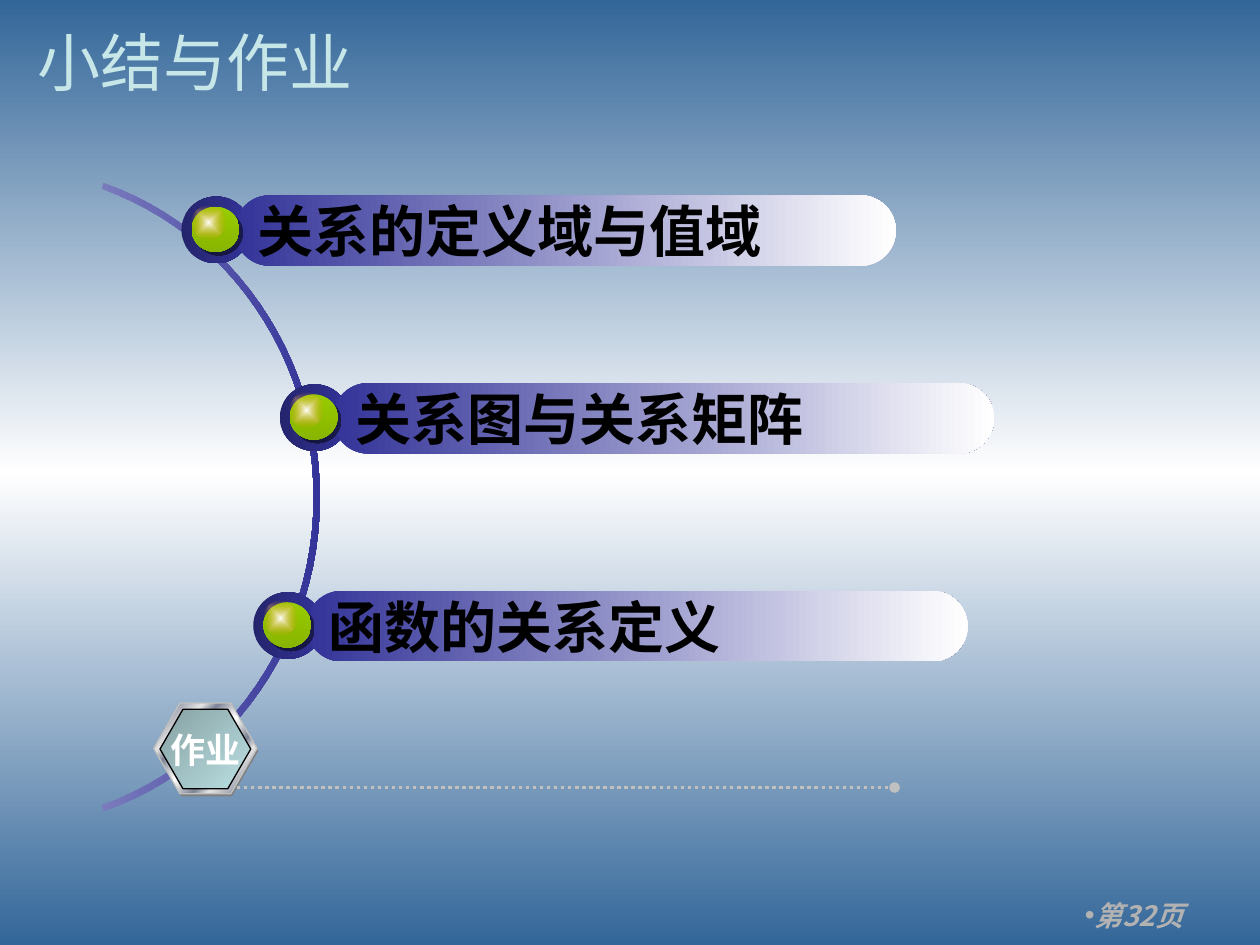
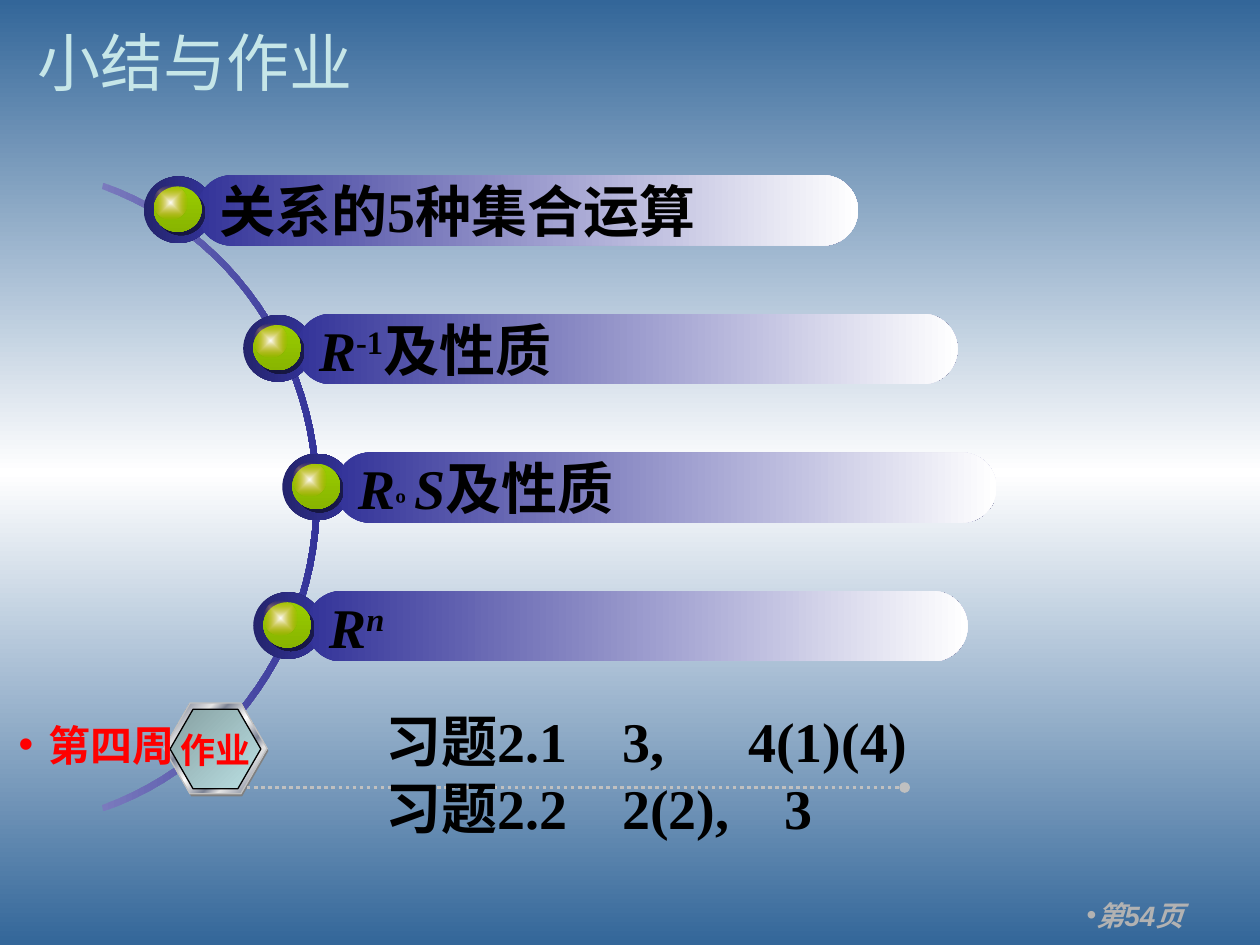
from lxml.etree import SubElement
from pptx import Presentation
from pptx.dml.color import RGBColor
from pptx.enum.dml import MSO_LINE
from pptx.enum.shapes import MSO_CONNECTOR, MSO_SHAPE
from pptx.enum.text import MSO_ANCHOR, MSO_AUTO_SIZE, PP_ALIGN
from pptx.oxml.ns import qn
from pptx.util import Inches, Pt

COLORS = {
    "sky": "336699", "white": "FFFFFF", "black": "000000", "red": "FF0000",
    "title": "C6E6E8", "footer": "B2B2B2", "indigo": "333399",
    "navy": "24246D", "arc_end": "7A7ABD", "lime": "99CC00",
    "olive": "88B500", "orange": "E9940B", "grey": "808080",
    "silver": "C0C0C0", "light": "E6E6E6", "steel": "7D8496",
    "teal": "86A0A2", "aqua": "BBE0E3",
}
HAN, SANS, SERIF = "Noto Sans CJK SC", "Arial", "Times New Roman"
METAL = [(0, "light"), (8, "steel"), (26, "light"), (34, "steel"),
         (46, "light"), (50, "white"), (54, "light"), (66, "steel"),
         (74, "light"), (92, "steel"), (100, "light")]


def rgb(name):
    return RGBColor.from_string(COLORS[name])


def bezier(start, c1, c2, end, steps=24):
    """Points in EMU along a cubic curve given in inches, both ends included."""
    points = []
    for i in range(steps + 1):
        t = i / steps
        weights = ((1 - t) ** 3, 3 * t * (1 - t) ** 2, 3 * t * t * (1 - t), t ** 3)
        points.append(tuple(Inches(sum(w * p[axis] for w, p in zip(weights, (start, c1, c2, end))))
                            for axis in (0, 1)))
    return points


def set_gradient(fill, holder, stops, angle=None):
    """Stops are (percent, colour[, opacity]); without an angle it spreads from the centre."""
    fill.solid()
    solid = holder.find(qn("a:solidFill"))
    grad = SubElement(holder, qn("a:gradFill"), rotWithShape="1")
    holder.replace(solid, grad)
    stop_list = SubElement(grad, qn("a:gsLst"))
    for percent, color, *opacity in stops:
        stop = SubElement(stop_list, qn("a:gs"), pos=str(percent * 1000))
        clr = SubElement(stop, qn("a:srgbClr"), val=COLORS[color])
        if opacity:
            SubElement(clr, qn("a:alpha"), val=str(opacity[0] * 1000))
    if angle is None:
        path = SubElement(grad, qn("a:path"), path="shape")
        SubElement(path, qn("a:fillToRect"), l="50000", t="50000", r="50000", b="50000")
    else:
        SubElement(grad, qn("a:lin"), ang=str(angle * 60000), scaled="0")


class Deck:
    def __init__(self):
        self.prs = Presentation()
        self.prs.slide_width, self.prs.slide_height = Inches(10), Inches(7.5)
        master = self.prs.slide_master
        fill = master.background.fill
        fill.solid()
        set_gradient(fill, master.element.find(".//" + qn("p:bgPr")),
                     [(0, "sky"), (50, "white"), (100, "sky")], 90)
        self.slide = None

    # Text
    def run(self, paragraph, text, size, color, font=HAN, bold=True, italic=False, baseline=0):
        run = paragraph.add_run()
        run.text = text
        run.font.size, run.font.bold, run.font.italic = Pt(size), bold, italic
        run.font.color.rgb = rgb(color)
        run.font.name = font
        props = run.font._element
        SubElement(props, qn("a:ea"), typeface=HAN)
        if baseline:
            props.set("baseline", str(baseline * 1000))

    def bullet(self, paragraph, hanging=0):
        props = paragraph._p.get_or_add_pPr()
        props.set("marL", str(Inches(hanging)))
        props.set("indent", str(-Inches(hanging)))
        SubElement(props, qn("a:buFont"), typeface=SANS)
        SubElement(props, qn("a:buChar"), char="•")

    def tabs(self, paragraph, stops):
        tab_list = SubElement(paragraph._p.get_or_add_pPr(), qn("a:tabLst"))
        for stop in stops:
            SubElement(tab_list, qn("a:tab"), pos=str(Inches(stop)), algn="l")

    def text_box(self, x, y, w, h, align=PP_ALIGN.LEFT):
        frame = self.slide.shapes.add_textbox(*map(Inches, (x, y, w, h))).text_frame
        frame.word_wrap = True
        frame.paragraphs[0].alignment = align
        return frame

    # Shapes
    def paint(self, shape, fill, angle=None, line=None):
        shape.shadow.inherit = False
        if isinstance(fill, str):
            shape.fill.solid()
            shape.fill.fore_color.rgb = rgb(fill)
        else:
            set_gradient(shape.fill, shape._element.spPr, fill, angle)
        if line:
            shape.line.color.rgb = rgb(line)
            shape.line.width = Pt(0.75)
        else:
            shape.line.fill.background()

    def shape(self, kind, x, y, w, h, fill, angle=None, line=None):
        shape = self.slide.shapes.add_shape(kind, *map(Inches, (x, y, w, h)))
        self.paint(shape, fill, angle, line)
        return shape

    def hexagon(self, x, y, w, h, fill, angle=None, line=None):
        shape = self.shape(MSO_SHAPE.HEXAGON, x, y, w, h, fill, angle, line)
        shape.adjustments[0] = 0.289
        shape.adjustments[1] = 1.155

    def arc(self):
        outline = (bezier((0.81, 1.5), (1.82, 1.86), (2.49, 2.84), (2.49, 3.95))
                   + bezier((2.49, 3.95), (2.49, 5.05), (1.82, 6.03), (0.81, 6.39))[1:]
                   + bezier((0.82, 6.44), (1.85, 6.08), (2.54, 5.07), (2.54, 3.95))
                   + bezier((2.54, 3.95), (2.54, 2.82), (1.85, 1.82), (0.82, 1.45))[1:])
        builder = self.slide.shapes.build_freeform(*outline[0])
        builder.add_line_segments(outline[1:], close=True)
        self.paint(builder.convert_to_shape(), [(0, "arc_end"), (100, "indigo")], 0)

    # Slide frame: footer, arc and title
    def new_slide(self, title, page, page_font):
        self.slide = self.prs.slides.add_slide(self.prs.slide_layouts[5])
        footer = self.text_box(8.39, 7.08, 1.1, 0.37, PP_ALIGN.RIGHT).paragraphs[0]
        self.bullet(footer)
        for text, font in (("第", HAN), (page, page_font), ("页", HAN)):
            self.run(footer, text, 16, "footer", font, italic=True)
        self.arc()

        heading = self.slide.shapes.title
        heading.left, heading.top, heading.width, heading.height = map(
            Inches, (0.2, 0.13, 9.61, 0.71))
        frame = heading.text_frame
        frame.auto_size = MSO_AUTO_SIZE.NONE
        frame.vertical_anchor = MSO_ANCHOR.MIDDLE
        frame.paragraphs[0].alignment = PP_ALIGN.LEFT
        self.run(frame.paragraphs[0], title, 36, "title", SANS, bold=False)

    # Summary point: ring, bar, ball and highlight
    def point(self, x, y, runs):
        self.shape(MSO_SHAPE.OVAL, x, y + 0.01, 0.55, 0.53, [(0, "navy"), (100, "indigo")], 0)

        bar = self.shape(MSO_SHAPE.ROUNDED_RECTANGLE, x + 0.42, y, 5.25, 0.56,
                         [(0, "indigo"), (100, "white")], 0)
        bar.adjustments[0] = 0.5
        frame = bar.text_frame
        frame.word_wrap = True
        frame.vertical_anchor = MSO_ANCHOR.MIDDLE
        frame.paragraphs[0].alignment = PP_ALIGN.LEFT
        for text, font, *style in runs:
            italic, baseline = style or (False, 0)
            self.run(frame.paragraphs[0], text, 32, "black", font,
                     italic=italic, baseline=baseline)

        ball = self.shape(MSO_SHAPE.OVAL, x + 0.08, y + 0.09, 0.38, 0.36,
                          [(0, "lime"), (100, "olive")], 90)
        effects = ball._element.spPr.find(qn("a:effectLst"))
        shadow = SubElement(effects, qn("a:outerShdw"), blurRad="0", dist=str(Pt(2.8)),
                            dir=str(45 * 60000), algn="ctr", rotWithShape="0")
        color = SubElement(shadow, qn("a:srgbClr"), val=COLORS["black"])
        SubElement(color, qn("a:alpha"), val="50000")

        self.shape(MSO_SHAPE.OVAL, x + 0.08, y + 0.08, 0.27, 0.27,
                   [(0, "white", 100), (100, "orange", 0)])

    # Homework badge with its dotted line
    def homework(self, x, color, exercises=()):
        self.hexagon(x + 0.01, 5.6, 0.82, 0.72, "grey")
        self.hexagon(x, 5.58, 0.82, 0.72, METAL, 45, "silver")
        self.hexagon(x + 0.05, 5.63, 0.72, 0.63, [(0, "teal"), (100, "aqua")], 45, "black")

        rule = self.slide.shapes.add_connector(
            MSO_CONNECTOR.STRAIGHT, *map(Inches, (x + 0.66, 6.25, x + 5.88, 6.25)))
        rule.line.color.rgb = rgb("silver")
        rule.line.width = Pt(2)
        rule.line.dash_style = MSO_LINE.ROUND_DOT
        SubElement(rule.line._get_or_add_ln(), qn("a:tailEnd"), type="oval")
        SubElement(rule._element.spPr, qn("a:effectLst"))

        if exercises:
            frame = self.text_box(x + 1.66, 5.56, 4.39, 1.18)
            for i, (numbers, stops) in enumerate(exercises):
                paragraph = frame.add_paragraph() if i else frame.paragraphs[0]
                self.tabs(paragraph, stops)
                self.run(paragraph, "习题", 32, "black", SANS)
                self.run(paragraph, numbers, 32, "black", SERIF)

        label = self.text_box(x + 0.03, 5.73, 0.76, 0.43, PP_ALIGN.CENTER)
        label.margin_left = label.margin_right = 0
        self.run(label.paragraphs[0], "作业", 20, color, SERIF)


def main():
    deck = Deck()

    # Relations and functions
    deck.new_slide("小结与作业", "32", HAN)
    for x, y, topic in ((1.44, 1.55, "关系的定义域与值域"),
                        (2.22, 3.04, "关系图与关系矩阵"),
                        (2.01, 4.69, "函数的关系定义")):
        deck.point(x, y, [(topic, HAN)])
    deck.homework(1.22, "white")

    # Operations on relations
    deck.new_slide("小结与作业", "54", SANS)
    operations = (
        (1.14, [("关系的", SANS), ("5", SERIF), ("种集合运算", SANS)]),
        (1.93, [("R", SERIF, True, 0), ("-1", SERIF, False, 30), ("及性质", SERIF)]),
        (2.24, [("R", SERIF, True, 0), ("º ", SERIF, False, -10),
                ("S", SERIF, True, 0), ("及性质", SANS)]),
        (2.01, [("R", SERIF, True, 0), ("n", SERIF, True, 30)]),
    )
    for row, (x, runs) in enumerate(operations):
        deck.point(x, 1.39 + 1.1 * row, runs)
    deck.homework(1.3, "red", [("2.1\t3,\t4(1)(4)", (1.88, 2.88)),
                               ("2.2\t2(2),\t3", (1.88, 3.17))])
    week = deck.text_box(0.05, 5.66, 1.69, 0.5).paragraphs[0]
    deck.bullet(week, 0.24)
    deck.run(week, "第四周", 24, "red")

    deck.prs.save("out.pptx")


if __name__ == "__main__":
    main()
